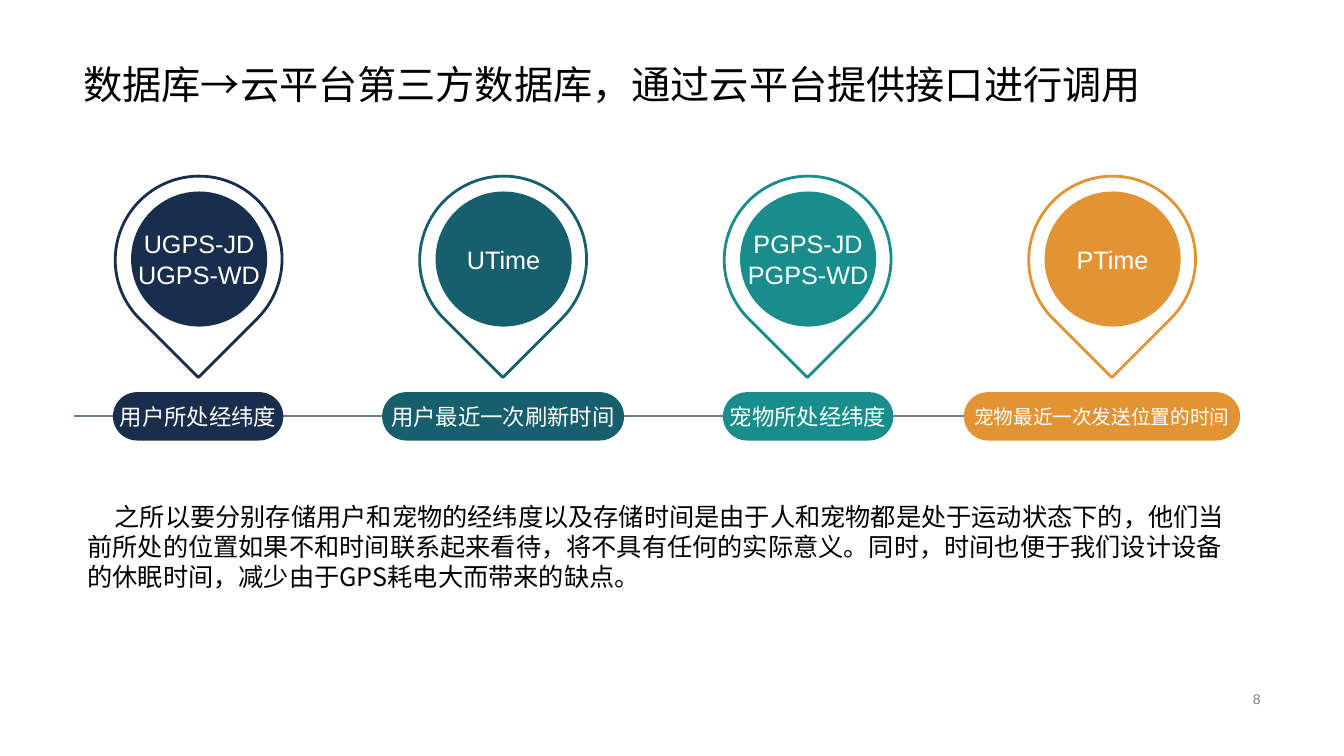
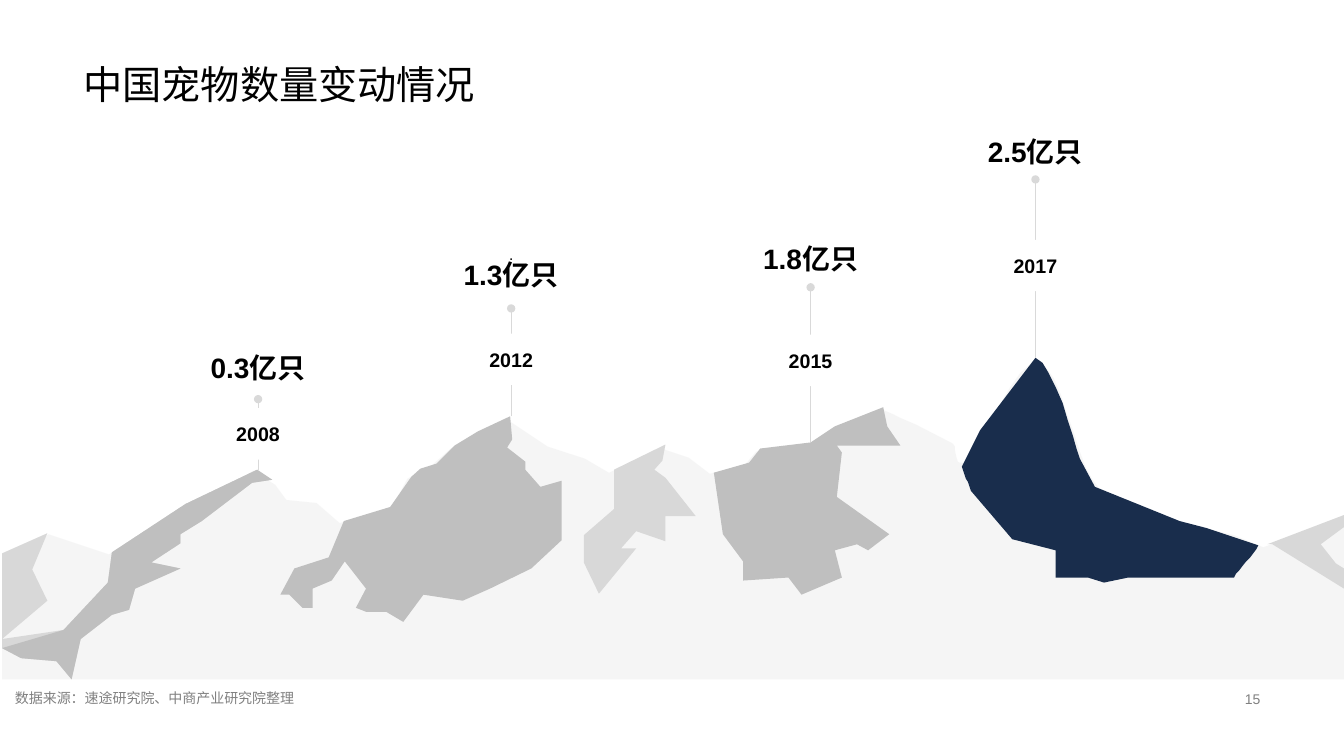
from lxml import etree
from pptx import Presentation
from pptx import util as u
from pptx.dml import color
from pptx.enum import shapes, text
from pptx.oxml import ns

PX = 9144  # EMU per px, 100 px to the inch
SLIDE_WIDTH, SLIDE_HEIGHT = 1333, 750
LATIN, CHINESE = "Arial", "Noto Sans CJK SC"
COLORS = {
    "white": "FFFFFF", "black": "000000", "footer": "808080",
    "navy": "192D4C", "petrol": "185F6E", "teal": "198C8C", "orange": "E29435",
    "axis": "6F7B8E", "stem": "D9D9D9",
    "haze": "F2F2F2", "slope": "D8D8D8", "rock": "BFBFBF",
}
ALIGN = text.PP_ALIGN
ANCHOR = text.MSO_ANCHOR

# Each pin: circle text, colour, pill text, pill left, pill width, pill font, pill size
PINS = [
    ("UGPS-JD\nUGPS-WD", "navy", "用户所处经纬度", 112, 169, LATIN, 16),
    ("UTime", "petrol", "用户最近一次刷新时间", 379, 240, LATIN, 16),
    ("PGPS-JD\nPGPS-WD", "teal", "宠物所处经纬度", 717, 169, LATIN, 16),
    ("PTime", "orange", "宠物最近一次发送位置的时间", 956, 274, CHINESE, 14),
]
PIN_LEFT, PIN_STEP = 114, 302
EXPLANATION = (
    "之所以要分别存储用户和宠物的经纬度以及存储时间是由于人和宠物都是处于运动状态下的，"
    "他们当前所处的位置如果不和时间联系起来看待，将不具有任何的实际意义。"
    "同时，时间也便于我们设计设备的休眠时间，减少由于GPS耗电大而带来的缺点。"
)

# Each milestone: year, amount, x, peak y, dot y, year top, amount top
MILESTONES = [
    ("2008", "0.3亿只", 256, 466, 396, 405, 335),
    ("2012", "1.3亿只", 507, 413, 306, 331, 243),
    ("2015", "1.8亿只", 804, 439, 285, 332, 227),
    ("2017", "2.5亿只", 1027, 355, 178, 238, 121),
]

# Outlines: two numbers are a corner, six are a Bezier curve
SKYLINE = [
    (1030, 359), (1050, 362, 1068, 452, 1083, 475), (1097, 498, 1118, 496, 1118, 496),
    (1175, 519), (1224, 531), (1253, 543), (1332, 512), (1333, 514), (1333, 674),
    (2, 674), (2, 562), (8, 563), (48, 530), (72, 538), (108, 550), (165, 518),
    (181, 506), (200, 501), (251, 467), (273, 481), (284, 496), (314, 499),
    (337, 519), (389, 503), (404, 475), (428, 462), (447, 445), (494, 425),
    (501, 415), (543, 443), (580, 455), (604, 469), (633, 455), (656, 445),
    (683, 454), (704, 470), (739, 461), (750, 448), (800, 442), (830, 424),
    (871, 406), (874, 405, 914, 424, 914, 424), (945, 440),
    (950, 445, 946, 469, 960, 455), (974, 442, 1009, 355, 1030, 359),
]
WEST_RIDGE = [
    (63, 625), (107, 578), (111, 548), (184, 500), (255, 466), (270, 476),
    (250, 479), (200, 517), (179, 530), (179, 539), (150, 558), (179, 564),
    (134, 584), (128, 605), (111, 610), (80, 634), (71, 674), (56, 656),
    (21, 653), (2, 643),
]
WEST_SLOPE = WEST_RIDGE[1:] + [(2, 549), (47, 529), (32, 565), (47, 596), (2, 634), (63, 625)]
CENTRAL_PEAK = [
    (341, 517), (326, 553), (292, 564), (278, 590), (287, 590), (300, 603),
    (310, 603), (310, 584), (329, 576), (342, 557), (363, 584), (353, 603),
    (363, 607), (383, 607), (400, 617), (420, 590), (459, 596), (486, 584),
    (527, 564), (557, 536), (557, 477), (536, 483), (521, 466), (521, 458),
    (503, 444), (508, 436), (506, 413), (474, 428), (451, 442), (433, 460),
    (417, 465), (408, 473), (387, 503),
]
CENTRAL_SLOPE = [
    (609, 466), (609, 505), (579, 531), (579, 558), (594, 589), (631, 544),
    (616, 544), (631, 527), (660, 537), (660, 512), (690, 512), (660, 474),
    (649, 466), (657, 457), (660, 441),
]
EAST_PEAK = [
    (708, 469), (717, 530), (737, 557), (737, 576), (782, 573), (795, 590),
    (835, 573), (828, 546), (850, 540), (861, 546), (882, 530), (830, 493),
    (835, 449), (830, 442), (893, 442), (880, 423), (876, 404), (828, 423),
    (804, 439), (754, 445), (743, 459),
]
SUMMIT = [
    (972, 427), (954, 463), (957, 471, 960, 479, 963, 487), (1004, 535),
    (1047, 546), (1047, 573), (1079, 573), (1095, 578), (1119, 573), (1224, 573),
    (1227, 564, 1245, 551, 1248, 541), (1197, 524), (1170, 517), (1086, 483),
    (1071, 455), (1066, 437, 1044, 360, 1027, 355),
]
EAST_SLOPE = [
    (1333, 511), (1333, 523), (1310, 540), (1325, 559), (1333, 564),
    (1333, 584), (1262, 540), (1257, 540),
]
MOUNTAINS = [
    (SKYLINE, "haze", 70), (WEST_SLOPE, "slope", 100), (CENTRAL_PEAK, "rock", 100),
    (CENTRAL_SLOPE, "slope", 100), (EAST_PEAK, "rock", 100), (SUMMIT, "navy", 100),
    (EAST_SLOPE, "slope", 100), (WEST_RIDGE, "rock", 100),
]


def rgb(name):
    return color.RGBColor.from_string(COLORS[name])


def scaled(*lengths):
    return [round(length * PX) for length in lengths]


def write(shape, content, size=18, font=LATIN, ink="black", bold=False, align=ALIGN.LEFT,
          anchor=ANCHOR.MIDDLE, wrap=True, spacing=1.0, indent=0):
    """Fill a shape with text, one paragraph for each line."""
    frame = shape.text_frame
    frame.word_wrap = wrap
    frame.vertical_anchor = anchor
    frame.margin_left = frame.margin_right = 10 * PX
    frame.margin_top = frame.margin_bottom = 5 * PX
    for number, line in enumerate(content.split("\n")):
        paragraph = frame.add_paragraph() if number else frame.paragraphs[0]
        paragraph.alignment = align
        paragraph.line_spacing = spacing
        if indent:
            paragraph._p.get_or_add_pPr().set("indent", str(indent * PX))
        run = paragraph.add_run()
        run.text = line
        run.font.name, run.font.size, run.font.bold = font, u.Pt(size), bold
        run.font.color.rgb = rgb(ink)
        etree.SubElement(run._r.get_or_add_rPr(), ns.qn("a:ea"), typeface=CHINESE)


def add_text(slide, box, content, **style):
    write(slide.shapes.add_textbox(*scaled(*box)), content, **style)


def paint(shape, fill, line=None, opacity=100):
    shape.shadow.inherit = False
    shape.fill.solid()
    shape.fill.fore_color.rgb = rgb(fill)
    if opacity < 100:
        tint = shape.fill._xPr.find(".//" + ns.qn("a:srgbClr"))
        etree.SubElement(tint, ns.qn("a:alpha"), val=str(opacity * 1000))
    if line:
        shape.line.color.rgb = rgb(line)
        shape.line.width = u.Pt(2)
    else:
        shape.line.fill.background()


def add_shape(slide, kind, box, fill, line=None):
    shape = slide.shapes.add_shape(kind, *scaled(*box))
    paint(shape, fill, line)
    return shape


def add_line(slide, start, end, ink, width, tail):
    line = slide.shapes.add_connector(shapes.MSO_CONNECTOR.STRAIGHT, *scaled(*start, *end))
    line.line.color.rgb = rgb(ink)
    line.line.width = u.Pt(width)
    etree.SubElement(line.line._get_or_add_ln(), ns.qn("a:tailEnd"), type=tail)
    etree.SubElement(line._element.spPr, ns.qn("a:effectLst"))
    return line


def flatten(outline, steps=8):
    """Turn the Bezier curves of an outline into short straight pieces."""
    points = [outline[0]]
    for corner in outline[1:]:
        if len(corner) == 2:
            points.append(corner)
            continue
        x0, y0 = points[-1]
        x1, y1, x2, y2, x3, y3 = corner
        for step in range(1, steps + 1):
            t = step / steps
            weights = ((1 - t) ** 3, 3 * t * (1 - t) ** 2, 3 * t * t * (1 - t), t ** 3)
            points.append(tuple(
                sum(w * value for w, value in zip(weights, values))
                for values in ((x0, x1, x2, x3), (y0, y1, y2, y3))
            ))
    return points


def add_outline(slide, left, top, outline, fill, opacity):
    points = flatten(outline)
    builder = slide.shapes.build_freeform(*points[0], scale=PX)
    builder.add_line_segments(points[1:], close=True)
    paint(builder.convert_to_shape(*scaled(left, top)), fill, opacity=opacity)


def add_base(presentation, title, page):
    """Add a blank slide with the shared title and page number."""
    slide = presentation.slides.add_slide(presentation.slide_layouts[6])
    add_text(slide, (73, 0, 1187, 112), title, size=28, anchor=ANCHOR.BOTTOM, spacing=0.9)
    add_text(slide, (942, 682, 318, 23), page, size=10, ink="footer", align=ALIGN.RIGHT)
    return slide


def add_pin(slide, left, top, label, ink):
    drop = add_shape(slide, shapes.MSO_SHAPE.TEAR, (left, top, 166, 165), "white", ink)
    drop.rotation = 135
    circle = add_shape(slide, shapes.MSO_SHAPE.OVAL, (left + 16, top + 15, 135, 134), ink)
    write(circle, label, ink="white", align=ALIGN.CENTER, wrap=False)


def add_pill(slide, box, label, ink, font, size):
    pill = add_shape(slide, shapes.MSO_SHAPE.ROUNDED_RECTANGLE, box, ink)
    pill.adjustments[0] = 0.5
    write(pill, label, size=size, font=font, ink="white", align=ALIGN.CENTER, wrap=False)
    return pill


def add_milestone(slide, year, amount, x, peak, dot, year_top, amount_top):
    centred = {"bold": True, "align": ALIGN.CENTER, "wrap": False}
    add_line(slide, (x, peak), (x, dot), "stem", 0.25, "oval")
    plate = add_shape(slide, shapes.MSO_SHAPE.RECTANGLE, (x - 72, year_top, 144, 51), "white")
    write(plate, year, size=14, **centred)
    add_text(slide, (x - 128, amount_top, 256, 51), amount, size=20,
             anchor=ANCHOR.BOTTOM, **centred)


def build_database_slide(presentation):
    slide = add_base(presentation, "数据库→云平台第三方数据库，通过云平台提供接口进行调用", "8")
    axis = add_line(slide, (73, 413), (1230, 413), "axis", 1.5, "triangle")
    for number, (label, ink, caption, left, width, font, size) in enumerate(PINS):
        add_pin(slide, PIN_LEFT + number * PIN_STEP, 175, label, ink)
        pill = add_pill(slide, (left, 389, width, 48), caption, ink, font, size)
    axis.end_connect(pill, 3)
    add_text(slide, (77, 492, 1154, 133), EXPLANATION, font=CHINESE,
             anchor=ANCHOR.TOP, indent=27)


def build_pet_slide(presentation):
    slide = add_base(presentation, "中国宠物数量变动情况", "15")
    add_text(slide, (5, 681, 450, 23), "数据来源：速途研究院、中商产业研究院整理",
             size=10, ink="footer")
    for outline, fill, opacity in MOUNTAINS:
        add_outline(slide, 0, 0, outline, fill, opacity)
    for milestone in MILESTONES:
        add_milestone(slide, *milestone)
    add_text(slide, (379, 229, 256, 77), ".", size=11, align=ALIGN.CENTER,
             anchor=ANCHOR.TOP, spacing=1.5)


def main():
    presentation = Presentation()
    presentation.slide_width, presentation.slide_height = scaled(SLIDE_WIDTH, SLIDE_HEIGHT)
    build_database_slide(presentation)
    build_pet_slide(presentation)
    presentation.save("out.pptx")


if __name__ == "__main__":
    main()
